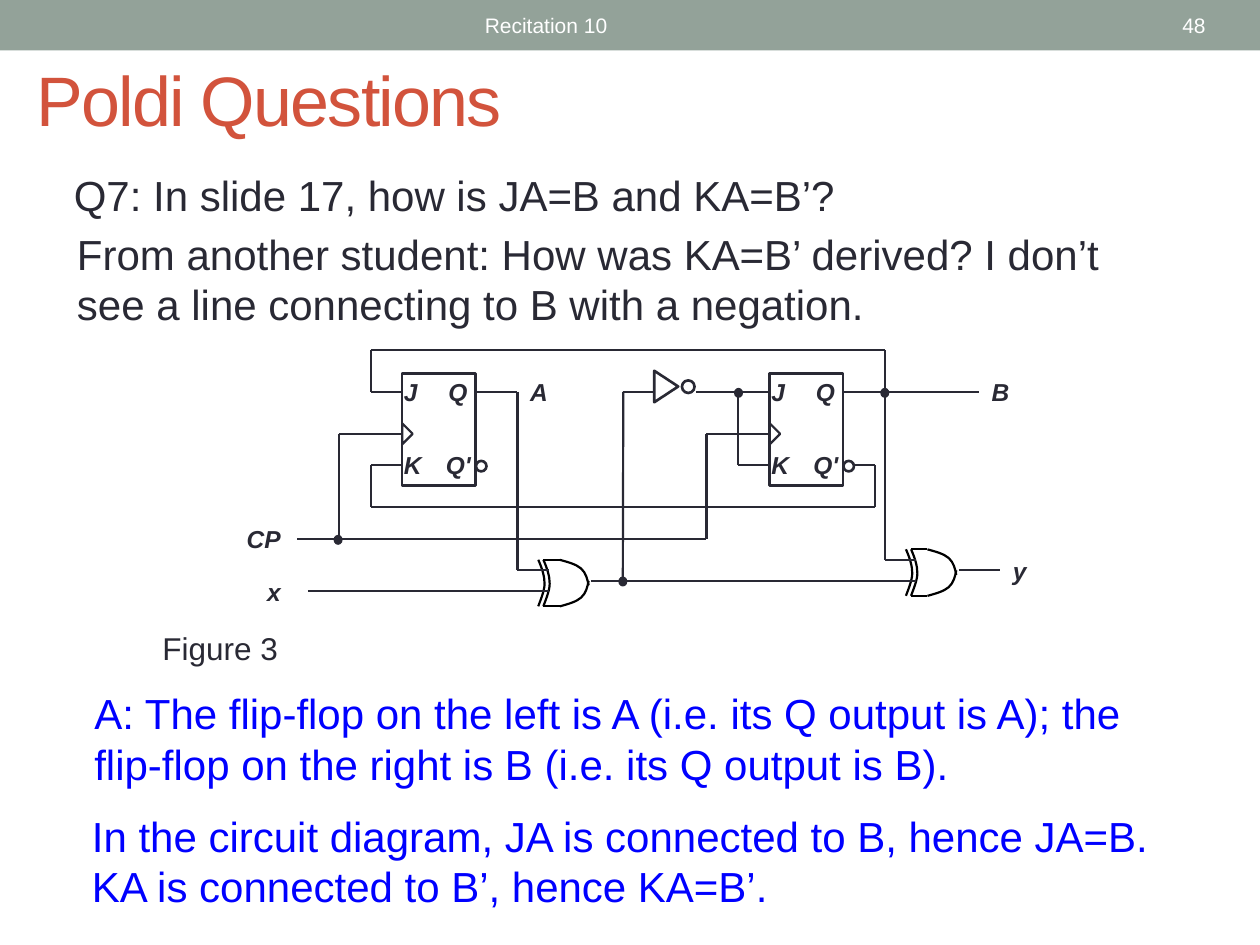
from itertools import pairwise
from typing import NamedTuple

from lxml.etree import SubElement
from pptx import Presentation
from pptx.dml.color import RGBColor
from pptx.enum.shapes import MSO_CONNECTOR, MSO_SHAPE
from pptx.enum.text import MSO_ANCHOR, PP_ALIGN
from pptx.oxml.ns import qn
from pptx.util import Pt

INK, BLUE, RED, GREY, WHITE, BLACK = "292934", "0000FF", "D2533C", "93A299", "FFFFFF", "000000"
Point = tuple[float, float]


class Label(NamedTuple):
    """A circuit label and its box."""
    text: str
    left: float
    top: float
    width: float
    wrap: bool = False


class Statement(NamedTuple):
    """A question or answer paragraph."""
    text: str
    left: float
    top: float
    height: float
    color: str


STATEMENTS = [
    Statement("Q7: In slide 17, how is JA=B and KA=B’?", 35.1, 93.6, 36, INK),
    Statement("From another student: How was KA=B’ derived? I don’t see a line "
              "connecting to B with a negation.", 36.9, 126.9, 65.5, INK),
    Statement("A: The flip-flop on the left is A (i.e. its Q output is A); the flip-flop "
              "on the right is B (i.e. its Q output is B).", 46.8, 389.5, 65.5, BLUE),
    Statement("In the circuit diagram, JA is connected to B, hence JA=B. KA is connected "
              "to B’, hence KA=B’.", 45.4, 459.6, 65.5, BLUE),
]
SIGNALS = [
    Label("A", 295.9, 211.7, 24.5), Label("B", 559.6, 211.7, 24.5),
    Label("CP", 133.9, 295.9, 33.8), Label("x", 145.6, 326.2, 22.3),
    Label("y", 571.7, 314.2, 22.3),
]
PINS = [
    Label("J", -6, 212, 22.3), Label("Q", 19.4, 211.7, 25.2),
    Label("Q'", 18, 253.4, 30.2, True), Label("K", -6, 253.9, 24.5),
]
WIRES: list[list[Point]] = [
    [(229.7, 223.9), (211.9, 223.9), (211.9, 200.2), (505.6, 200.2), (505.6, 319.9),
     (523.4, 319.9)],
    [(229.7, 265.9), (211.9, 265.9), (211.9, 289.9), (499.9, 289.9), (499.9, 265.9),
     (481.7, 265.9)],
    [(271.4, 223.9), (295.7, 223.9), (295.7, 325.9), (313.9, 325.9)],
    [(169.9, 307.9), (403.7, 307.9), (403.7, 247.9), (439.9, 247.9)],
    [(193.7, 307.9), (193.7, 247.9), (229.7, 247.9)],
    [(355.9, 331.9), (356.2, 223.9), (373.7, 223.9)],
    [(397.7, 223.9), (439.9, 223.9)],
    [(421.7, 223.9), (421.7, 265.9), (439.9, 265.9)],
    [(481.7, 223.9), (559.7, 223.9)],
    [(337.7, 331.9), (523.4, 331.9)],
    [(175.9, 337.9), (313.9, 337.9)],
    [(547.9, 325.9), (571.7, 325.9)],
]
JUNCTIONS = [(193.2, 308.5), (355.9, 332.3), (422, 224.5), (505.6, 224.5)]
FLIP_FLOP_LEFTS = [229.7, 439.7]
XOR_ORIGINS = [(310.5, 319.9), (520.6, 313.9)]
GATE_HEIGHT = 26.6
BACK = [(0, 0), (2.2, 5), (3.6, 9.4), (3.6, 13.7), (3.6, 18), (0.7, 24.5), (0, GATE_HEIGHT)]
NOSE = [(9.4, 0), (14.4, 1.4), (18.7, 2.5), (21.6, 5), (24.5, 7.6), (25.2, 11.2), (25.9, 14.6)]


def color_of(value: str) -> RGBColor:
    """Turn a hex string into a colour."""
    return RGBColor.from_string(value)


def add_text(text: str, left: float, top: float, width: float, height: float, *,
             size: float = 14, color: str = INK, bold: bool = False, italic: bool = False,
             wrap: bool = True, align=PP_ALIGN.LEFT, anchor=MSO_ANCHOR.TOP,
             spacing: float = 0) -> None:
    """Place one formatted line or paragraph of text."""
    frame = slide.shapes.add_textbox(Pt(left), Pt(top), Pt(width), Pt(height)).text_frame
    frame.word_wrap = wrap
    frame.vertical_anchor = anchor
    paragraph = frame.paragraphs[0]
    paragraph.alignment = align
    run = paragraph.add_run()
    run.text = text
    font = run.font
    font.name, font.size, font.bold, font.italic = "Arial", Pt(size), bold, italic
    font.color.rgb = color_of(color)
    if spacing:
        run._r.get_or_add_rPr().set("spc", str(round(spacing * 100)))


def style(shape, fill: str | None, line: str | None, weight: float) -> None:
    """Set fill and outline and drop the shadow."""
    shape.shadow.inherit = False
    if fill:
        shape.fill.solid()
        shape.fill.fore_color.rgb = color_of(fill)
    else:
        shape.fill.background()
    if line:
        shape.line.color.rgb = color_of(line)
        shape.line.width = Pt(weight)
    else:
        shape.line.fill.background()


def add_preset(kind, left: float, top: float, width: float, height: float, *,
               fill: str | None = None, line: str | None = INK, weight: float = 1.5,
               rotation: float = 0) -> None:
    """Draw a preset shape."""
    shape = slide.shapes.add_shape(kind, Pt(left), Pt(top), Pt(width), Pt(height))
    shape.rotation = rotation
    style(shape, fill, line, weight)


def add_wire(points: list[Point], color: str = INK) -> None:
    """Join successive points with straight connectors."""
    for (x1, y1), (x2, y2) in pairwise(points):
        wire = slide.shapes.add_connector(MSO_CONNECTOR.STRAIGHT, Pt(x1), Pt(y1), Pt(x2), Pt(y2))
        wire.line.color.rgb = color_of(color)
        wire.line.width = Pt(1.25)
        SubElement(wire._element.spPr, qn("a:effectLst"))


def add_curve(controls: list[Point], dx: float, dy: float) -> None:
    """Draw chained cubic curves, moved by dx and dy."""
    places = [(Pt(x + dx), Pt(y + dy)) for x, y in controls]
    builder = slide.shapes.build_freeform(*places[0])
    builder.add_line_segments(places[1:], close=False)
    curve = builder.convert_to_shape()
    outline = next(curve._element.iter(qn("a:moveTo"))).getparent()
    segments = outline.findall(qn("a:lnTo"))
    for i in range(0, len(segments), 3):
        cubic = SubElement(outline, qn("a:cubicBezTo"))
        for segment in segments[i:i + 3]:
            cubic.append(segment[0])
            outline.remove(segment)
    style(curve, None, BLACK, 1.25)


def add_xor(x: float, y: float) -> None:
    """Draw an exclusive-or gate."""
    add_curve(BACK, x, y)
    add_curve(BACK, x - 2.9, y)
    add_curve(NOSE, x, y)
    add_curve([(px, GATE_HEIGHT - py) for px, py in NOSE], x, y)
    for edge in (y, y + GATE_HEIGHT):
        add_wire([(x, edge), (x + 9.4, edge)], BLACK)


def add_label(label: Label, dx: float = 0) -> None:
    """Write a bold italic circuit label."""
    add_text(label.text, label.left + dx, label.top, label.width, 23.8,
             bold=True, italic=True, wrap=label.wrap)


def add_flip_flop(left: float) -> None:
    """Draw a JK flip-flop with its pins."""
    add_preset(MSO_SHAPE.RECTANGLE, left, 213.3, 42, 64.1)
    add_preset(MSO_SHAPE.ISOSCELES_TRIANGLE, left - 2.9, 244.9, 12, 6, weight=1.25, rotation=90)
    for pin in PINS:
        add_label(pin, left)
    add_preset(MSO_SHAPE.OVAL, left + 42.3, 263.4, 6, 6, fill=WHITE)


presentation = Presentation()
presentation.slide_width, presentation.slide_height = Pt(720), Pt(540)
slide = presentation.slides.add_slide(presentation.slide_layouts[6])

add_preset(MSO_SHAPE.RECTANGLE, 0, 0, 720, 28.8, fill=GREY, line=None)
add_text("Recitation 10", 270, 1.4, 324, 25.9, size=12, color=WHITE, anchor=MSO_ANCHOR.MIDDLE)
add_text("48", 627.6, 1.4, 68.4, 25.9, size=12, color=WHITE, align=PP_ALIGN.RIGHT,
         anchor=MSO_ANCHOR.MIDDLE)
add_text("Poldi Questions", 13.7, 17.3, 334, 77.8, size=40, color=RED,
         anchor=MSO_ANCHOR.MIDDLE, spacing=-1)
for statement in STATEMENTS:
    add_text(statement.text, statement.left, statement.top, 625.7, statement.height,
             size=24, color=statement.color)

for origin in XOR_ORIGINS:
    add_xor(*origin)
for route in WIRES:
    add_wire(route)
for x, y in JUNCTIONS:
    add_preset(MSO_SHAPE.OVAL, x - 2.2, y - 2.5, 4.4, 5, fill=INK, weight=0.75)
for ff_left in FLIP_FLOP_LEFTS:
    add_flip_flop(ff_left)
add_preset(MSO_SHAPE.FLOWCHART_EXTRACT, 371.7, 214, 18, 13.7, rotation=90)
add_preset(MSO_SHAPE.OVAL, 389.7, 217.4, 7.2, 7.2)
for signal in SIGNALS:
    add_label(signal)
add_text("Figure 3", 85.7, 355.7, 90, 28.8, size=18)

presentation.save("out.pptx")
